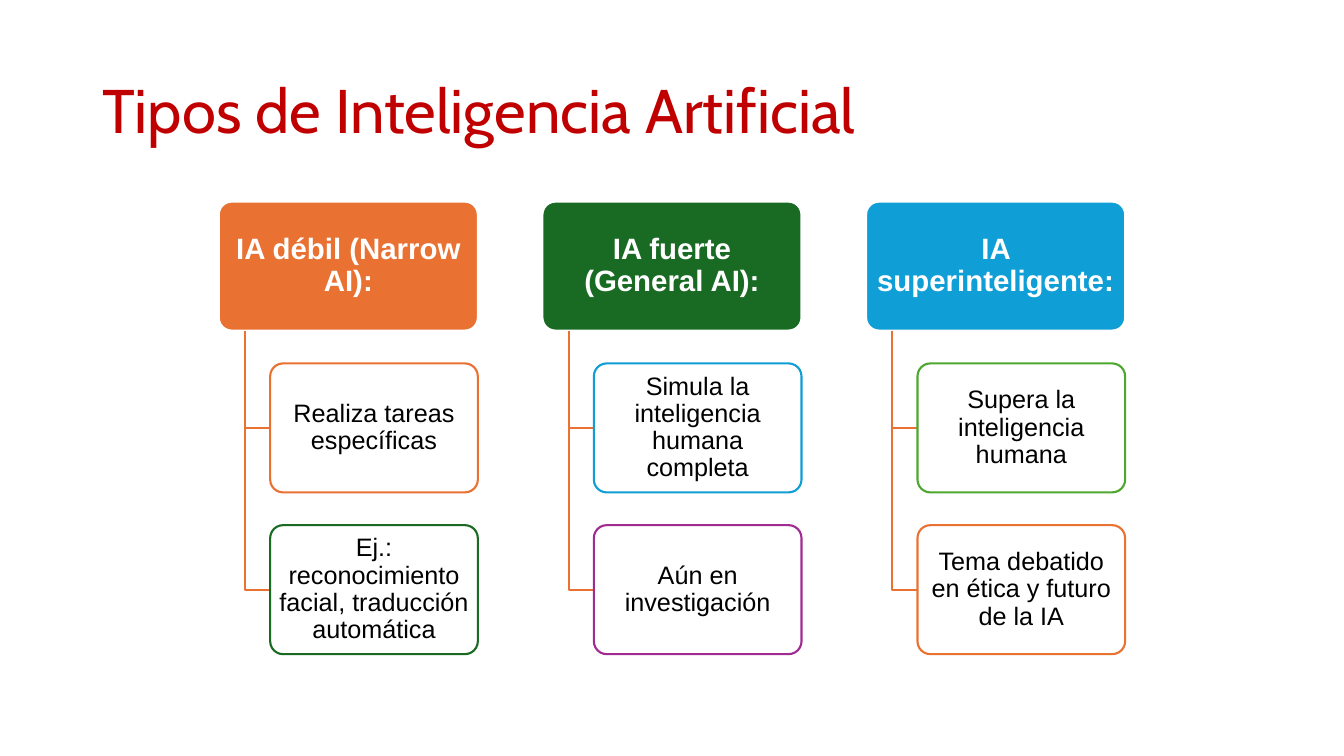
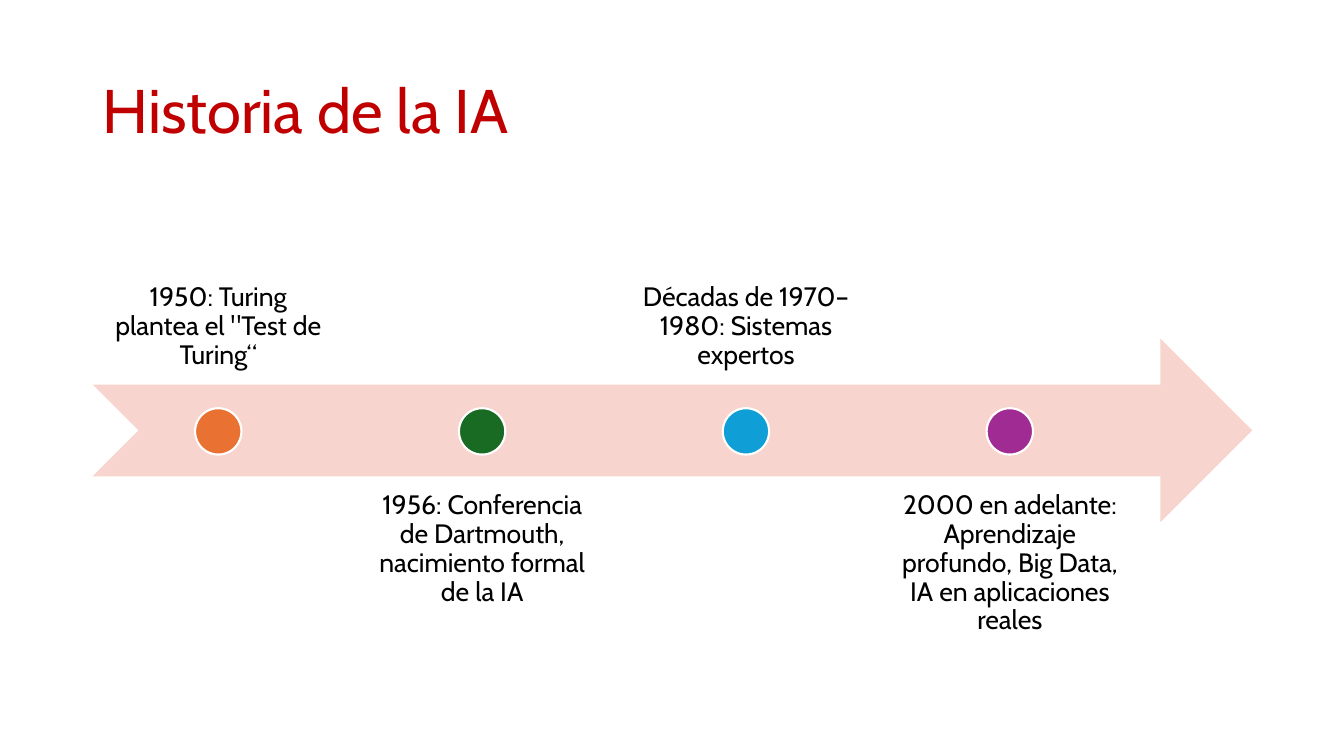
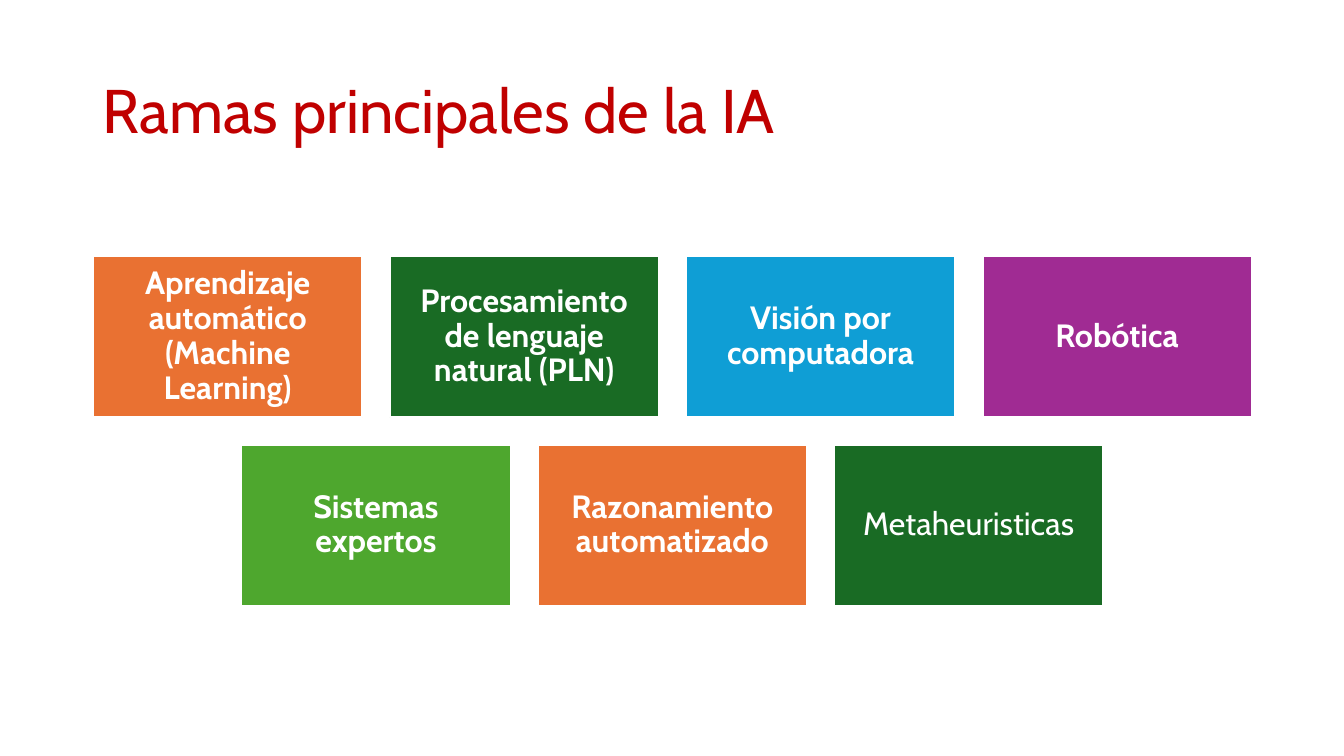
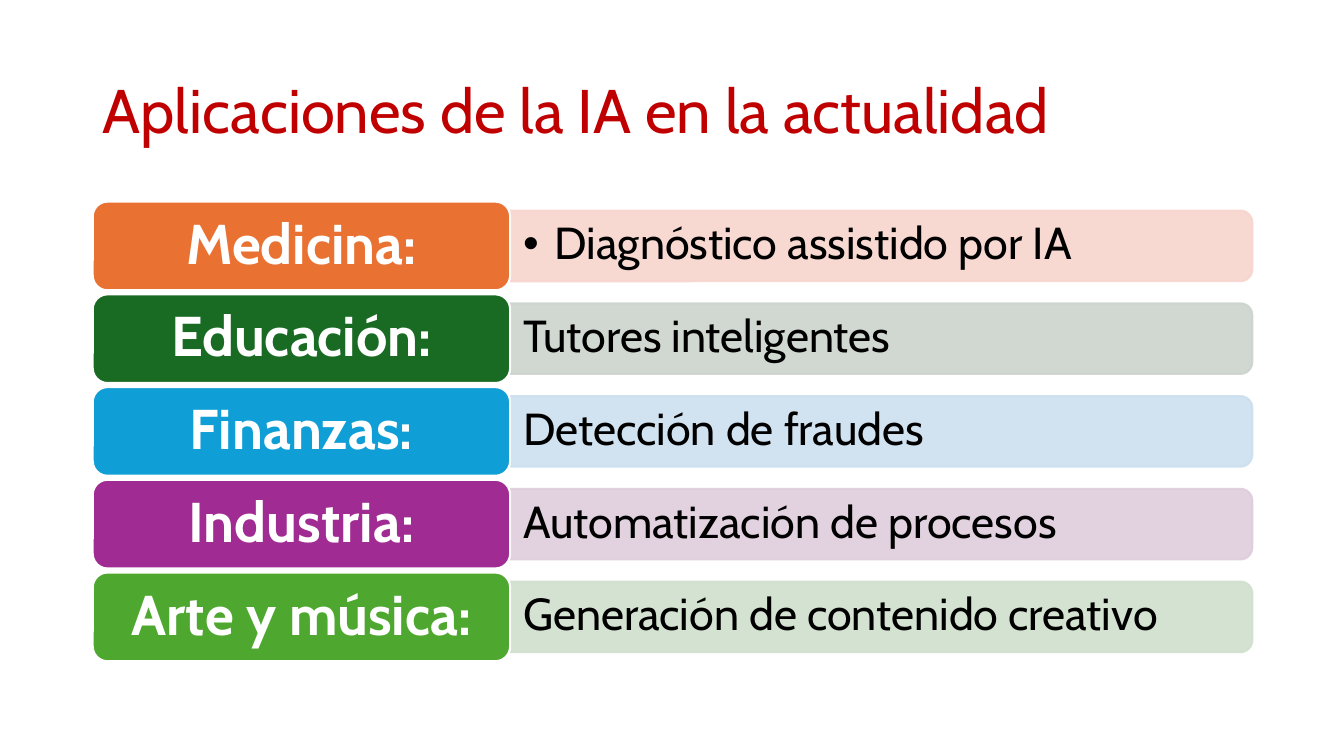
from dataclasses import dataclass

from lxml import etree
from pptx import Presentation
from pptx.dml.color import RGBColor
from pptx.enum import shapes, text
from pptx.oxml.ns import qn
from pptx.util import Inches, Pt


@dataclass(frozen=True)
class Theme:
    orange: str = "E97132"
    green: str = "196B24"
    blue: str = "0F9ED5"
    purple: str = "A02B93"
    lime: str = "4EA72E"
    title: str = "C00000"
    white: str = "FFFFFF"
    black: str = "000000"
    arrow: str = "F7D5CE"
    tints: tuple = ("F7D5CE", "CCD4CD", "CCDFEF", "DFCDDC", "D0E1CD")
    heading_font: str = "Cabin"
    diagram_font: str = "Arial"
    title_size: int = 44
    type_head_size: int = 21
    type_detail_size: int = 18
    event_size: int = 19
    branch_size: int = 23
    area_size: int = 40
    use_size: int = 32
    line_width: float = 1.5


THEME = Theme()
ACCENTS = (THEME.orange, THEME.green, THEME.blue, THEME.purple, THEME.lime)
SHAPE = shapes.MSO_SHAPE
LEFT, CENTER = text.PP_ALIGN.LEFT, text.PP_ALIGN.CENTER
TOP, MIDDLE, BOTTOM = text.MSO_ANCHOR.TOP, text.MSO_ANCHOR.MIDDLE, text.MSO_ANCHOR.BOTTOM


def write(shape, words, *, size, color=THEME.black, font=THEME.heading_font, bold=False,
          align=CENTER, anchor=MIDDLE, inset=(0.1, 0.05), bullet_indent=0):
    """Fill a shape with one paragraph; inset is (horizontal, vertical) in inches."""
    frame = shape.text_frame
    frame.word_wrap = True
    frame.vertical_anchor = anchor
    frame.margin_left = frame.margin_right = Inches(inset[0])
    frame.margin_top = frame.margin_bottom = Inches(inset[1])
    paragraph = frame.paragraphs[0]
    paragraph.alignment = align
    paragraph.line_spacing = 0.9
    if bullet_indent:
        properties = paragraph._p.get_or_add_pPr()
        properties.set("marL", str(Inches(bullet_indent)))
        properties.set("indent", str(-Inches(bullet_indent)))
        etree.SubElement(properties, qn("a:buFont")).set("typeface", "Arial")
        etree.SubElement(properties, qn("a:buChar")).set("char", "•")
    run = paragraph.add_run()
    run.text = words
    run.font.name = font
    run.font.size = Pt(size)
    run.font.bold = bold
    run.font.color.rgb = RGBColor.from_string(color)


def draw(slide, kind, box, fill, line=THEME.white, opacity=100):
    """Add a preset shape; box is left, top, width, height in inches."""
    shape = slide.shapes.add_shape(kind, *map(Inches, box))
    shape.shadow.inherit = False
    shape.fill.solid()
    shape.fill.fore_color.rgb = RGBColor.from_string(fill)
    if line is None:
        shape.line.fill.background()
    else:
        shape.line.color.rgb = RGBColor.from_string(line)
        shape.line.width = Pt(THEME.line_width)
    if opacity < 100:
        for color in shape._element.spPr.iter(qn("a:srgbClr")):
            etree.SubElement(color, qn("a:alpha")).set("val", str(opacity * 1000))
    return shape


deck = Presentation()
deck.slide_width, deck.slide_height = Inches(13.33), Inches(7.5)
margin, content_width = 0.92, 11.5

pages = []
for title in ("Tipos de Inteligencia Artificial", "Historia de la IA",
              "Ramas principales de la IA", "Aplicaciones de la IA en la actualidad"):
    page = deck.slides.add_slide(deck.slide_layouts[6])
    title_box = page.shapes.add_textbox(*map(Inches, (margin, 0.4, content_width, 1.45)))
    write(title_box, title, size=THEME.title_size, color=THEME.title, align=LEFT)
    pages.append(page)
types_page, history_page, branches_page, uses_page = pages

# Types of AI: a heading with two details hanging from it
ai_types = (
    ("IA débil (Narrow AI):", THEME.orange,
     (("Realiza tareas específicas", THEME.orange),
      ("Ej.: reconocimiento facial, traducción automática", THEME.green))),
    ("IA fuerte (General AI):", THEME.green,
     (("Simula la inteligencia humana completa", THEME.blue),
      ("Aún en investigación", THEME.purple))),
    ("IA superinteligente:", THEME.blue,
     (("Supera la inteligencia humana", THEME.lime),
      ("Tema debatido en ética y futuro de la IA", THEME.orange))),
)
head_top, head_width, node_height = 2, 2.57, 1.28
trunk_offset, detail_offset, detail_width = 0.26, 0.51, 2.06
node_inset = (0.04, 0.03)
for column, (name, color, details) in enumerate(ai_types):
    left = 2.17 + 3.21 * column
    head = draw(types_page, SHAPE.ROUNDED_RECTANGLE, (left, head_top, head_width, node_height), color)
    head.adjustments[0] = 0.1
    write(head, name, size=THEME.type_head_size, color=THEME.white, bold=True,
          font=THEME.diagram_font, inset=node_inset)
    for row, (detail, outline) in enumerate(details, start=1):
        top = head_top + 1.605 * row
        trunk_x, trunk_top = Inches(left + trunk_offset), Inches(head_top + node_height)
        branch_y = Inches(top + node_height / 2)
        path_builder = types_page.shapes.build_freeform(trunk_x, trunk_top)
        path_builder.add_line_segments(
            [(trunk_x, branch_y), (Inches(left + detail_offset), branch_y)], close=False)
        elbow = path_builder.convert_to_shape()
        elbow.shadow.inherit = False
        elbow.fill.background()
        elbow.line.color.rgb = RGBColor.from_string(THEME.orange)
        elbow.line.width = Pt(THEME.line_width)
        node = draw(types_page, SHAPE.ROUNDED_RECTANGLE,
                    (left + detail_offset, top, detail_width, node_height), THEME.white, outline)
        node.adjustments[0] = 0.1
        write(node, detail, size=THEME.type_detail_size, font=THEME.diagram_font, inset=node_inset)

# History: events alternate above and below the arrow
events = (
    "1950: Turing plantea el \"Test de Turing“",
    "1956: Conferencia de Dartmouth, nacimiento formal de la IA",
    "Décadas de 1970–1980: Sistemas expertos",
    "2000 en adelante: Aprendizaje profundo, Big Data, IA en aplicaciones reales",
)
event_width, event_height, dot_size = 2.49, 1.82, 0.46
draw(history_page, SHAPE.NOTCHED_RIGHT_ARROW, (margin, 3.36, content_width, 1.82),
     THEME.arrow, line=None)
for index, (event, color) in enumerate(zip(events, ACCENTS)):
    left = margin + 2.617 * index
    top, anchor = (4.73, TOP) if index % 2 else (2, BOTTOM)
    label = history_page.shapes.add_textbox(*map(Inches, (left, top, event_width, event_height)))
    write(label, event, size=THEME.event_size, anchor=anchor, inset=(0.15, 0.15))
    draw(history_page, SHAPE.OVAL,
         (left + (event_width - dot_size) / 2, 4.05, dot_size, dot_size), color)

# Branches: rows of tiles, each row centred
branch_rows = (
    (("Aprendizaje automático (Machine Learning)", THEME.orange, True),
     ("Procesamiento de lenguaje natural (PLN)", THEME.green, True),
     ("Visión por computadora", THEME.blue, True),
     ("Robótica", THEME.purple, True)),
    (("Sistemas expertos", THEME.lime, True),
     ("Razonamiento automatizado", THEME.orange, True),
     ("Metaheuristicas", THEME.green, False)),
)
tile_width, tile_height, tile_gap = 2.67, 1.6, 0.27
for row, branches in enumerate(branch_rows):
    row_width = len(branches) * (tile_width + tile_gap) - tile_gap
    row_left = margin + (content_width - row_width) / 2
    for column, (branch, color, bold) in enumerate(branches):
        tile = draw(branches_page, SHAPE.RECTANGLE,
                    (row_left + column * (tile_width + tile_gap),
                     2.54 + row * (tile_height + tile_gap), tile_width, tile_height), color)
        write(tile, branch, size=THEME.branch_size, color=THEME.white, bold=bold, inset=(0.1, 0.1))

# Uses: an area and its tinted bar per row
uses = (
    ("Medicina:", "Diagnóstico assistido por IA"),
    ("Educación:", "Tutores inteligentes"),
    ("Finanzas:", "Detección de fraudes"),
    ("Industria:", "Automatización de procesos"),
    ("Arte y música:", "Generación de contenido creativo"),
)
area_width, area_height = 4.14, 0.88
bar_left, bar_length, bar_height = margin + area_width, 7.36, 0.7
for row, ((area, use), color, tint) in enumerate(zip(uses, ACCENTS, THEME.tints)):
    top = 2 + 0.92 * row
    middle = top + area_height / 2
    # The bar stands upright before its quarter turn, so that its round corners end up right
    bar = draw(uses_page, SHAPE.ROUND_2_SAME_RECTANGLE,
               (bar_left + (bar_length - bar_height) / 2, middle - bar_length / 2,
                bar_height, bar_length), tint, line=tint, opacity=90)
    bar.rotation = 90
    use_label = uses_page.shapes.add_textbox(*map(Inches, (bar_left, middle - 0.32, 7.33, 0.63)))
    write(use_label, use, size=THEME.use_size, align=LEFT, inset=(0.13, 0.07),
          bullet_indent=0.31 if row == 0 else 0)
    area_block = draw(uses_page, SHAPE.ROUNDED_RECTANGLE,
                      (margin, top, area_width, area_height), color)
    write(area_block, area, size=THEME.area_size, color=THEME.white, bold=True, inset=(0.17, 0.08))

deck.save("out.pptx")
